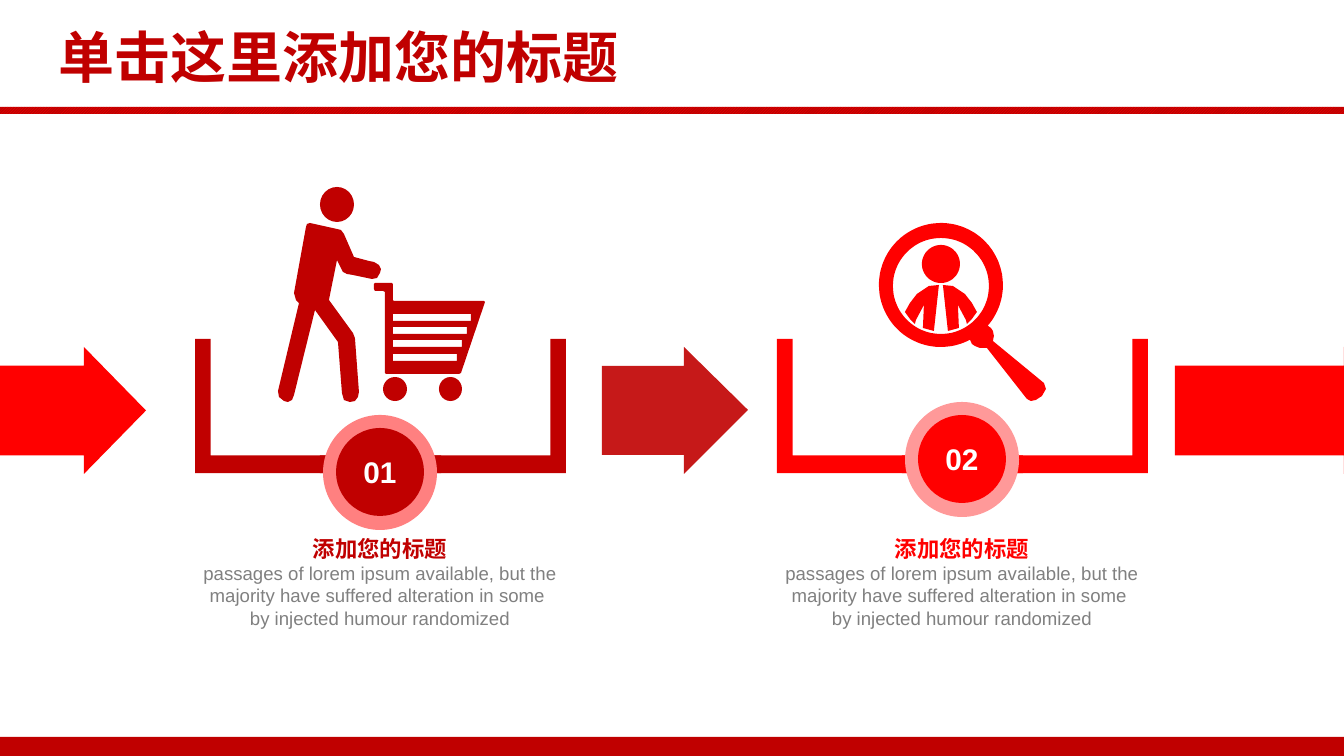
"""Build a two-step process slide with arrows, numbered brackets and icons."""
from copy import deepcopy
from math import cos, radians, sin

from pptx import Presentation
from pptx.dml.color import RGBColor
from pptx.enum.dml import MSO_PATTERN
from pptx.enum.shapes import MSO_SHAPE as Kind
from pptx.enum.text import MSO_ANCHOR as Anchor, MSO_AUTO_SIZE as AutoSize, PP_ALIGN as Align
from pptx.oxml.ns import qn
from pptx.oxml.xmlchemy import OxmlElement
from pptx.util import Pt

PX = 12192000 / 1344
DARK, RED, WHITE, GREY = "C00000", "FF0000", "FFFFFF", "808080"
CJK = "Noto Sans CJK SC"


def paint(shape, color):
    shape.shadow.inherit = False
    shape.line.fill.background()
    shape.fill.solid()
    shape.fill.fore_color.rgb = RGBColor.from_string(color)
    return shape


def write(paragraph, text, size, color, bold=False, font="Arial", align=Align.CENTER):
    paragraph.alignment = align
    for number, line in enumerate(text.split("\n")):
        if number:
            paragraph.add_line_break()
        run = paragraph.add_run()
        run.text = line
        run.font.size, run.font.bold, run.font.name = Pt(size), bold, font
        run.font.color.rgb = RGBColor.from_string(color)
        east_asian = OxmlElement("a:ea")
        east_asian.set("typeface", CJK)
        run.font._element.append(east_asian)
    for line_break in paragraph._p.findall(qn("a:br")):
        line_break.append(deepcopy(run.font._element))


deck = Presentation()
deck.slide_width, deck.slide_height = round(1344 * PX), round(756 * PX)
slide = deck.slides.add_slide(deck.slide_layouts[6])
shapes = slide.shapes

plain_shapes = [
    (Kind.RECTANGLE, 0, 737, 1344, 19, DARK, []),
    (Kind.RECTANGLE, 0, 107, 1344, 7, DARK, []),
    (Kind.RIGHT_ARROW, 0, 347, 146, 127, RED, [0.707, 0.489]),
    (Kind.RIGHT_ARROW, 1175, 347, 169, 127, RED, [0.707, 0]),
    (Kind.OVAL, 439, 377, 23, 24, DARK, []),
    (Kind.OVAL, 383, 377, 24, 24, DARK, []),
    (Kind.OVAL, 320, 187, 34, 35, DARK, []),
]
steps = [
    ("01", 195, 415, DARK, "FF8080"),
    ("02", 777, 402, RED, "FF9999"),
]
bracket = [0.131, 0.117]
for number, left, top, color, halo in steps:
    plain_shapes += [
        (Kind.CORNER, left, 339, 246, 134, color, bracket),
        (Kind.CORNER, left + 125, 339, 246, 134, color, bracket),
        (Kind.OVAL, left + 128, top, 114, 115, halo, []),
    ]
for kind, left, top, width, height, color, adjustments in plain_shapes:
    part = paint(shapes.add_shape(kind, *(round(v * PX) for v in (left, top, width, height))), color)
    for index, value in enumerate(adjustments):
        part.adjustments[index] = value
    if kind == Kind.CORNER and left in [step[1] + 125 for step in steps]:
        part._element.spPr.find(qn("a:xfrm")).set("flipH", "1")
    if top == 107:
        part.fill.patterned()
        part.fill.pattern = MSO_PATTERN.DARK_UPWARD_DIAGONAL
        part.fill.fore_color.rgb = RGBColor.from_string(RED)
        part.fill.back_color.rgb = RGBColor.from_string(DARK)

for number, left, top, color, halo in steps:
    badge = paint(shapes.add_shape(Kind.OVAL, *(round(v * PX) for v in (left + 141, top + 13, 88, 88))), color)
    badge.text_frame.vertical_anchor = Anchor.MIDDLE
    write(badge.text_frame.paragraphs[0], number, 21.3, WHITE, bold=True)

    caption = shapes.add_textbox(*(round(v * PX) for v in (left - 14, 535, 398, 95))).text_frame
    caption.word_wrap = True
    caption.auto_size = AutoSize.SHAPE_TO_FIT_TEXT
    caption.margin_left = caption.margin_right = caption.margin_top = caption.margin_bottom = 0
    write(caption.paragraphs[0], "添加您的标题", 16, color, bold=True)
    write(caption.add_paragraph(),
          "passages of lorem ipsum available, but the majority have suffered alteration in some \n"
          "by injected humour randomized", 13.3, GREY)

middle_arrow = [(602, 366), (684, 366), (684, 347), (748, 410), (684, 474), (684, 455), (602, 455)]
walker = [
    (294, 395), (292, 400), (288, 402), (284, 401), (279, 397), (278, 391), (299, 303), (296, 300),
    (294, 293), (306, 227), (307, 224), (310, 223), (337, 229), (341, 230), (344, 234), (354, 257),
    (369, 261), (374, 262), (379, 265), (381, 269), (380, 273), (377, 278), (372, 279), (353, 275),
    (347, 274), (343, 272), (341, 268), (337, 260), (329, 300), (353, 333), (355, 338), (359, 392),
    (358, 397), (355, 401), (350, 402), (344, 400), (342, 393), (338, 342), (315, 310),
]
basket = [
    (485, 302), (461, 373), (459, 374), (386, 374), (385, 373), (385, 292), (383, 291), (375, 291),
    (374, 289), (374, 284), (375, 283), (392, 283), (393, 284), (393, 300), (394, 301), (484, 301),
]
slots = [[(393, top), (right, top), (right, top + 7), (393, top + 7)]
         for top, right in [(314, 471), (327, 467), (340, 462), (354, 457)]]
lens_rim, lens_hole, face = (
    [(941 + radius * cos(radians(a)), middle + radius * sin(radians(a))) for a in range(start, end, 3)]
    for middle, radius, start, end in [(285, 62, 62, 402), (286, 48, 0, 360), (264, 19, 0, 360)])
handle = [
    (991, 328), (993, 331), (994, 336), (993, 341), (1044, 383), (1046, 389), (1042, 396),
    (1036, 400), (1031, 401), (1027, 399), (987, 348), (980, 348), (975, 346), (972, 344),
]
jacket = [
    (967, 324), (966, 320), (958, 305), (959, 328), (948, 331), (943, 285), (953, 286),
    (965, 294), (972, 303), (977, 312), (972, 319),
]
jacket_mirror = [(1882 - x, y) for x, y in jacket]

outlines = [
    ([middle_arrow], DARK, 90),
    ([basket, *slots], DARK, 100),
    ([walker], DARK, 100),
    ([lens_rim + handle, lens_hole, face, jacket, jacket_mirror], RED, 100),
]
for contours, color, opacity in outlines:
    fine = [[(x * 10, y * 10) for x, y in contour] for contour in contours]
    builder = shapes.build_freeform(*fine[0][0], scale=PX / 10)
    for index, contour in enumerate(fine):
        if index:
            builder.move_to(*contour[0])
        builder.add_line_segments(contour[1:], close=True)
    icon = paint(builder.convert_to_shape(), color)
    if opacity < 100:
        alpha = OxmlElement("a:alpha")
        alpha.set("val", str(opacity * 1000))
        icon._element.spPr.find(qn("a:solidFill"))[0].append(alpha)

title = shapes.add_textbox(*(round(v * PX) for v in (49, 18, 588, 78))).text_frame
title.word_wrap = False
title.auto_size = AutoSize.SHAPE_TO_FIT_TEXT
write(title.paragraphs[0], "单击这里添加您的标题", 40, DARK, bold=True, font=CJK, align=Align.LEFT)

deck.save("out.pptx")
